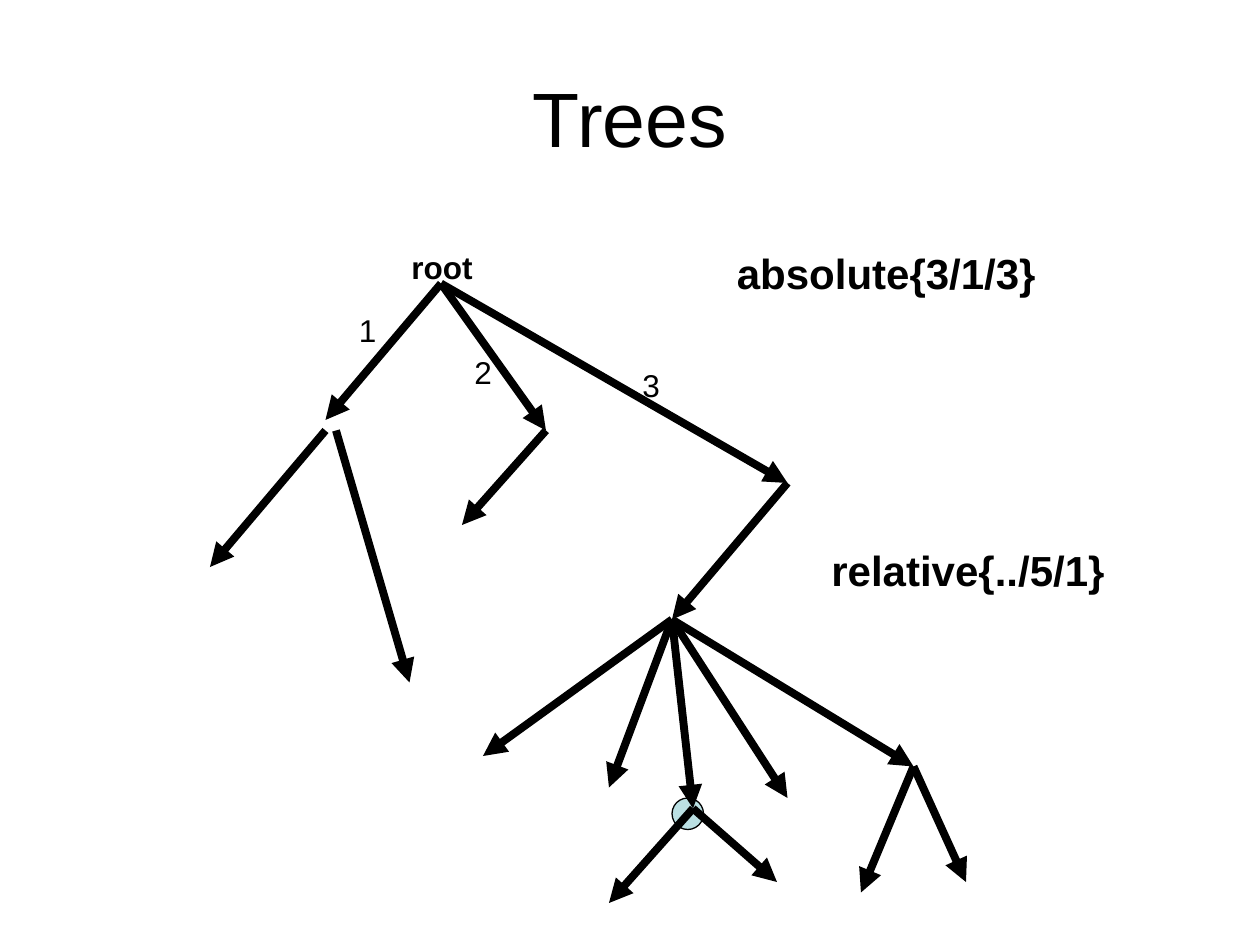
from lxml import etree
from pptx import Presentation
from pptx import util as u
from pptx.dml.color import RGBColor
from pptx.enum import shapes, text
from pptx.oxml.ns import qn

PX = 9525
FONT = "Arial"
COLORS = {"ink": "000000", "node": "BBE0E3", "back": "FFFFFF"}

TREE = {
    (336, 216): [(248, 320), (416, 328), (600, 368)],
    (248, 328): [(160, 432)],
    (256, 328): [(312, 520)],
    (416, 328): [(352, 400)],
    (600, 368): [(512, 472)],
    (512, 472): [(368, 576), (464, 600), (528, 616), (600, 608), (696, 584)],
    (528, 616): [(464, 688), (592, 672)],
    (696, 584): [(656, 680), (736, 672)],
}

LABELS = [
    ("root", (304, 184, 72, 38), 18, True),
    ("absolute{3/1/3}", (552, 184, 320, 48), 24, True),
    ("1", (264, 232, 32, 38), 18, False),
    ("2", (352, 264, 32, 38), 18, False),
    ("3", (480, 274, 32, 38), 18, False),
    ("relative{../5/1}", (624, 410, 320, 48), 24, True),
]


def px(*vals):
    """Turn pixel lengths into EMU."""
    return [u.Emu(val * PX) for val in vals]


def tint(name):
    """Return a named colour."""
    return RGBColor.from_string(COLORS[name])


def write(para, words, size, bold=False):
    """Add one styled run to a paragraph."""
    run = para.add_run()
    run.text = words
    font = run.font
    font.name, font.size, font.bold = FONT, u.Pt(size), bold
    font.color.rgb = tint("ink")


def add_title(slide, words):
    """Place and fill the title."""
    title = slide.shapes.title
    title.left, title.top, title.width, title.height = px(48, 29, 864, 120)
    frame = title.text_frame
    frame.vertical_anchor = text.MSO_ANCHOR.MIDDLE
    para = frame.paragraphs[0]
    para.alignment = text.PP_ALIGN.CENTER
    write(para, words, 44)


def add_label(slide, words, area, size, bold):
    """Add a text label."""
    frame = slide.shapes.add_textbox(*px(*area)).text_frame
    frame.word_wrap = True
    frame.auto_size = text.MSO_AUTO_SIZE.SHAPE_TO_FIT_TEXT
    write(frame.paragraphs[0], words, size, bold)


def add_node(slide, area):
    """Add the round node that the paths refer to."""
    node = slide.shapes.add_shape(shapes.MSO_SHAPE.OVAL, *px(*area))
    node.shadow.inherit = False
    node.fill.solid()
    node.fill.fore_color.rgb = tint("node")
    node.line.color.rgb = tint("ink")
    node.line.width = u.Pt(0.75)


def add_edge(slide, start, end):
    """Add an arrow from a parent to a child."""
    edge = slide.shapes.add_connector(
        shapes.MSO_CONNECTOR.STRAIGHT, *px(*start, *end))
    edge.line.color.rgb = tint("ink")
    edge.line.width = u.Pt(4.5)
    etree.SubElement(edge.line._get_or_add_ln(), qn("a:tailEnd"), type="triangle")
    etree.SubElement(edge._element.spPr, qn("a:effectLst"))


def main():
    """Build the tree slide."""
    deck = Presentation()
    deck.slide_width, deck.slide_height = px(960, 720)
    slide = deck.slides.add_slide(deck.slide_layouts[5])
    slide.background.fill.solid()
    slide.background.fill.fore_color.rgb = tint("back")
    add_title(slide, "Trees")
    add_node(slide, (512, 608, 24, 24))
    for start, ends in TREE.items():
        for end in ends:
            add_edge(slide, start, end)
    for label in LABELS:
        add_label(slide, *label)
    deck.save("out.pptx")


if __name__ == "__main__":
    main()
